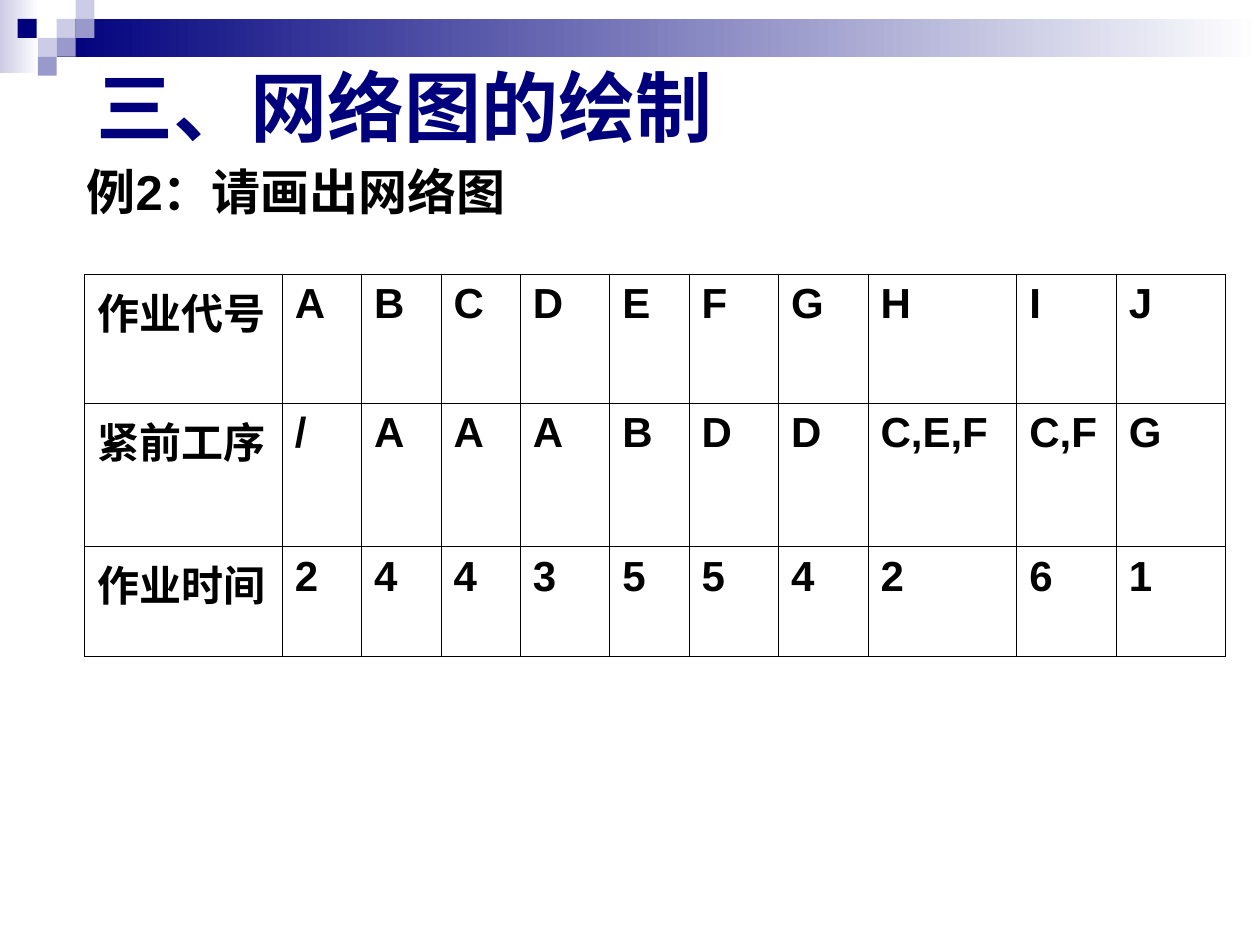
"""Build a slide with a task table for drawing a network diagram."""
from dataclasses import dataclass

from lxml import etree
from pptx import Presentation
from pptx import util as u
from pptx.dml.color import RGBColor
from pptx.enum import shapes, text
from pptx.oxml import ns


@dataclass(frozen=True)
class Theme:
    navy: str = "00007D"
    mid: str = "9999CC"
    pale: str = "CCCCE6"
    white: str = "FFFFFF"
    black: str = "000000"
    font: str = "Arial"
    title: int = 44
    body: int = 28
    cell: int = 24


T = Theme()


def add_bar(s, x, y, w, h, *colors):
    sp = s.shapes.add_shape(shapes.MSO_SHAPE.RECTANGLE, *map(u.Inches, (x, y, w, h)))
    sp.shadow.inherit = False
    sp.line.fill.background()
    if len(colors) == 1:
        sp.fill.solid()
        sp.fill.fore_color.rgb = RGBColor.from_string(colors[0])
        return
    sp.fill.gradient()
    sp.fill.gradient_angle = 0
    for stop, color, position in zip(sp.fill.gradient_stops, colors, (0, 1)):
        stop.color.rgb = RGBColor.from_string(color)
        stop.position = position


def write(tf, words, size, color, before=0, after=0, hang=0):
    tf.word_wrap = True
    p = tf.paragraphs[0]
    p.text = words
    p.font.name, p.font.size, p.font.bold = T.font, u.Pt(size), True
    p.font.color.rgb = RGBColor.from_string(color)
    p.space_before, p.space_after = u.Pt(before), u.Pt(after)
    pPr = p._p.get_or_add_pPr()
    pPr.set("marL", str(u.Inches(hang)))
    pPr.set("indent", str(u.Inches(-hang)))


prs = Presentation()
prs.slide_width, prs.slide_height = u.Inches(10), u.Inches(7.5)
s = prs.slides.add_slide(prs.slide_layouts[6])

add_bar(s, 0, 0, 0.31, 0.58, T.pale, T.white)
add_bar(s, 0.45, 0.15, 9.55, 0.3, T.navy, T.white)
squares = [
    (0.45, 0.15, T.pale), (0.6, 0, T.pale), (0.6, 0.15, T.mid), (0.3, 0.3, T.pale),
    (0.14, 0.15, T.navy), (0.45, 0.3, T.mid), (0.3, 0.45, T.mid),
]
for x, y, color in squares:
    add_bar(s, x, y, 0.15, 0.15, color)

title = s.shapes.add_textbox(u.Inches(0.67), u.Inches(0.21), u.Inches(8.5), u.Inches(1.25))
title.text_frame.vertical_anchor = text.MSO_ANCHOR.MIDDLE
write(title.text_frame, "三、网络图的绘制", T.title, T.navy)

rows = [
    ["作业代号", *"ABCDEFGHIJ"],
    ["紧前工序", *"/AAABDD", "C,E,F", "C,F", "G"],
    ["作业时间", *"2443554261"],
]
widths = [1.57, 0.63, 0.63, 0.63, 0.71, 0.63, 0.71, 0.71, 1.18, 0.79, 0.87]
heights = [1.02, 1.14, 0.87]
table = s.shapes.add_table(
    len(rows), len(widths), u.Inches(0.67), u.Inches(2.18),
    u.Inches(sum(widths)), u.Inches(sum(heights)),
).table
table.first_row = table.horz_banding = False
for column, width in zip(table.columns, widths):
    column.width = u.Inches(width)
for row, height, words in zip(table.rows, heights, rows):
    row.height = u.Inches(height)
    for cell, word in zip(row.cells, words):
        write(cell.text_frame, word, T.cell, T.black, after=9, hang=0.38)
        tcPr = cell._tc.get_or_add_tcPr()
        for side in ("lnL", "lnR", "lnT", "lnB"):
            ln = etree.SubElement(tcPr, ns.qn(f"a:{side}"), w=str(u.Pt(0.45)))
            fill = etree.SubElement(ln, ns.qn("a:solidFill"))
            etree.SubElement(fill, ns.qn("a:srgbClr"), val=T.black)
        cell.fill.background()

example = s.shapes.add_textbox(u.Inches(0.59), u.Inches(1.23), u.Inches(4.17), u.Inches(0.71))
write(example.text_frame, "例2：请画出网络图", T.body, T.black, before=7, after=10.5, hang=0.38)

prs.save("out.pptx")
